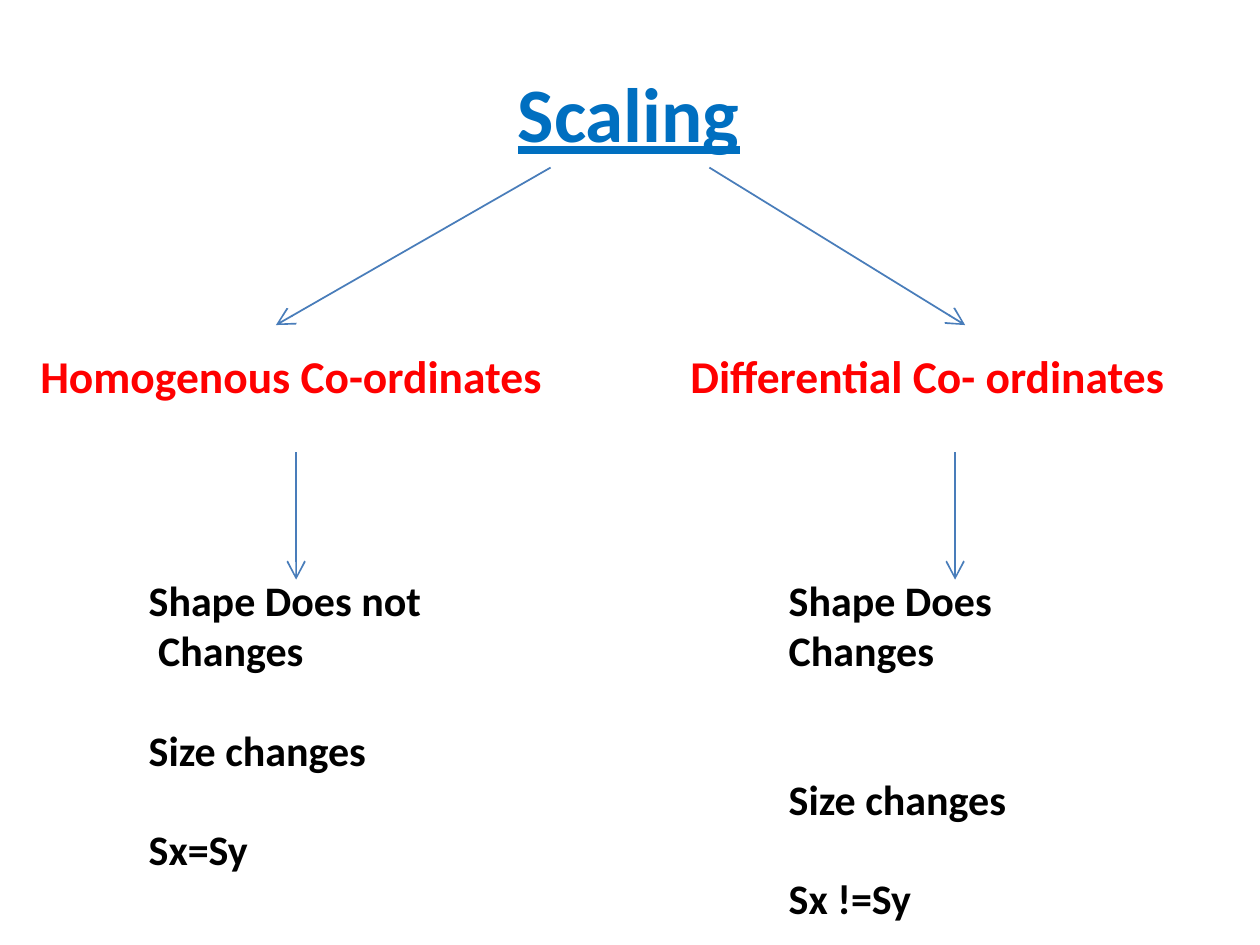
from dataclasses import dataclass

from lxml import etree
from pptx import Presentation
from pptx.dml.color import RGBColor
from pptx.enum import shapes, text
from pptx.oxml import ns
from pptx.util import Inches, Pt


@dataclass(frozen=True)
class Theme:
    font: str = "Calibri"
    title: RGBColor = RGBColor(0x00, 0x6F, 0xC0)
    heading: RGBColor = RGBColor(0xFF, 0x00, 0x00)
    body: RGBColor = RGBColor(0x00, 0x00, 0x00)
    arrow: RGBColor = RGBColor(0x49, 0x7D, 0xBA)
    title_size: float = 44
    heading_size: float = 26
    body_size: float = 24
    arrow_width: float = 1


@dataclass(frozen=True)
class Box:
    left: float
    top: float
    width: float
    height: float


@dataclass(frozen=True)
class Para:
    lines: tuple[str, ...]
    before: float = 0


@dataclass(frozen=True)
class Arrow:
    x1: float
    y1: float
    x2: float
    y2: float


@dataclass(frozen=True)
class Branch:
    heading: str
    heading_box: Box
    body: tuple[Para, ...]
    body_box: Box
    arrows: tuple[Arrow, ...]


THEME = Theme()
GAP = 28

BRANCHES = (
    Branch(
        "Homogenous Co-ordinates",
        Box(0.32, 2.75, 4.01, 0.46),
        (
            Para(("Shape Does not", " Changes")),
            Para(("Size changes",), GAP),
            Para(("Sx=Sy",), GAP),
        ),
        Box(1.18, 4.55, 2.19, 2.43),
        (Arrow(4.37, 1.33, 2.19, 2.58), Arrow(2.35, 3.59, 2.35, 4.6)),
    ),
    Branch(
        "Differential Co- ordinates",
        Box(5.48, 2.75, 3.8, 0.46),
        (
            Para(("Shape Does", "Changes")),
            Para(("Size changes",), 2 * GAP),
            Para(("Sx !=Sy",), GAP),
        ),
        Box(6.26, 4.55, 2.95, 2.43),
        (Arrow(5.63, 1.33, 7.66, 2.58), Arrow(7.58, 3.59, 7.58, 4.6)),
    ),
)


def write(sp, paras: tuple[Para, ...], size: float, color: RGBColor, underline: bool = False) -> None:
    tf = sp.text_frame
    tf.word_wrap = True
    tf.auto_size = text.MSO_AUTO_SIZE.NONE
    tf.vertical_anchor = text.MSO_ANCHOR.TOP
    tf.margin_left = tf.margin_right = tf.margin_bottom = 0
    tf.margin_top = Inches(0.01)
    for i, para in enumerate(paras):
        p = tf.add_paragraph() if i else tf.paragraphs[0]
        p.alignment = text.PP_ALIGN.LEFT
        p.space_before = Pt(para.before)
        for j, line in enumerate(para.lines):
            if j:
                p.add_line_break()
            r = p.add_run()
            r.text = line
            r.font.name = THEME.font
            r.font.size = Pt(size)
            r.font.bold = True
            r.font.color.rgb = color
            if underline:
                r.font.underline = True


def add_text(s, box: Box, paras: tuple[Para, ...], size: float, color: RGBColor) -> None:
    sp = s.shapes.add_textbox(
        Inches(box.left), Inches(box.top), Inches(box.width), Inches(box.height)
    )
    write(sp, paras, size, color)


def add_arrow(s, arrow: Arrow) -> None:
    cxn = s.shapes.add_connector(
        shapes.MSO_CONNECTOR.STRAIGHT,
        Inches(arrow.x1), Inches(arrow.y1), Inches(arrow.x2), Inches(arrow.y2),
    )
    cxn.line.color.rgb = THEME.arrow
    cxn.line.width = Pt(THEME.arrow_width)
    etree.SubElement(
        cxn.line._get_or_add_ln(), ns.qn("a:tailEnd"), type="arrow", w="lg", len="lg"
    )
    etree.SubElement(cxn._element.spPr, ns.qn("a:effectLst"))


def add_title(s, label: str, box: Box) -> None:
    sp = s.shapes.title
    sp.left, sp.top = Inches(box.left), Inches(box.top)
    sp.width, sp.height = Inches(box.width), Inches(box.height)
    write(sp, (Para((label,)),), THEME.title_size, THEME.title, underline=True)


def add_branch(s, branch: Branch) -> None:
    add_text(s, branch.heading_box, (Para((branch.heading,)),), THEME.heading_size, THEME.heading)
    add_text(s, branch.body_box, branch.body, THEME.body_size, THEME.body)
    for arrow in branch.arrows:
        add_arrow(s, arrow)


def main() -> None:
    prs = Presentation()
    prs.slide_width, prs.slide_height = Inches(10), Inches(7.5)
    s = prs.slides.add_slide(prs.slide_layouts.get_by_name("Title Only"))
    add_title(s, "Scaling", Box(4.11, 0.51, 1.79, 0.76))
    for branch in BRANCHES:
        add_branch(s, branch)
    prs.save("out.pptx")


if __name__ == "__main__":
    main()
